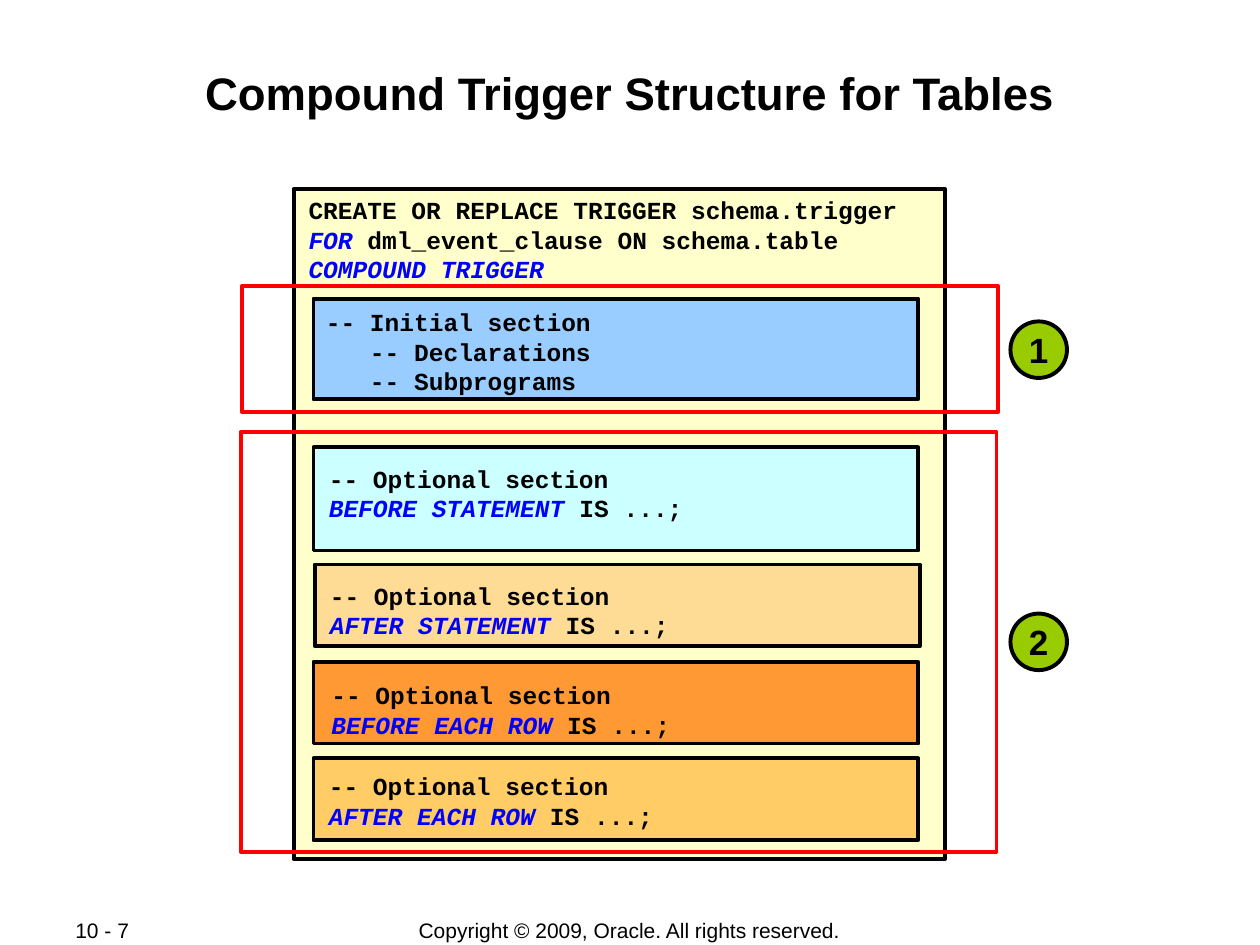
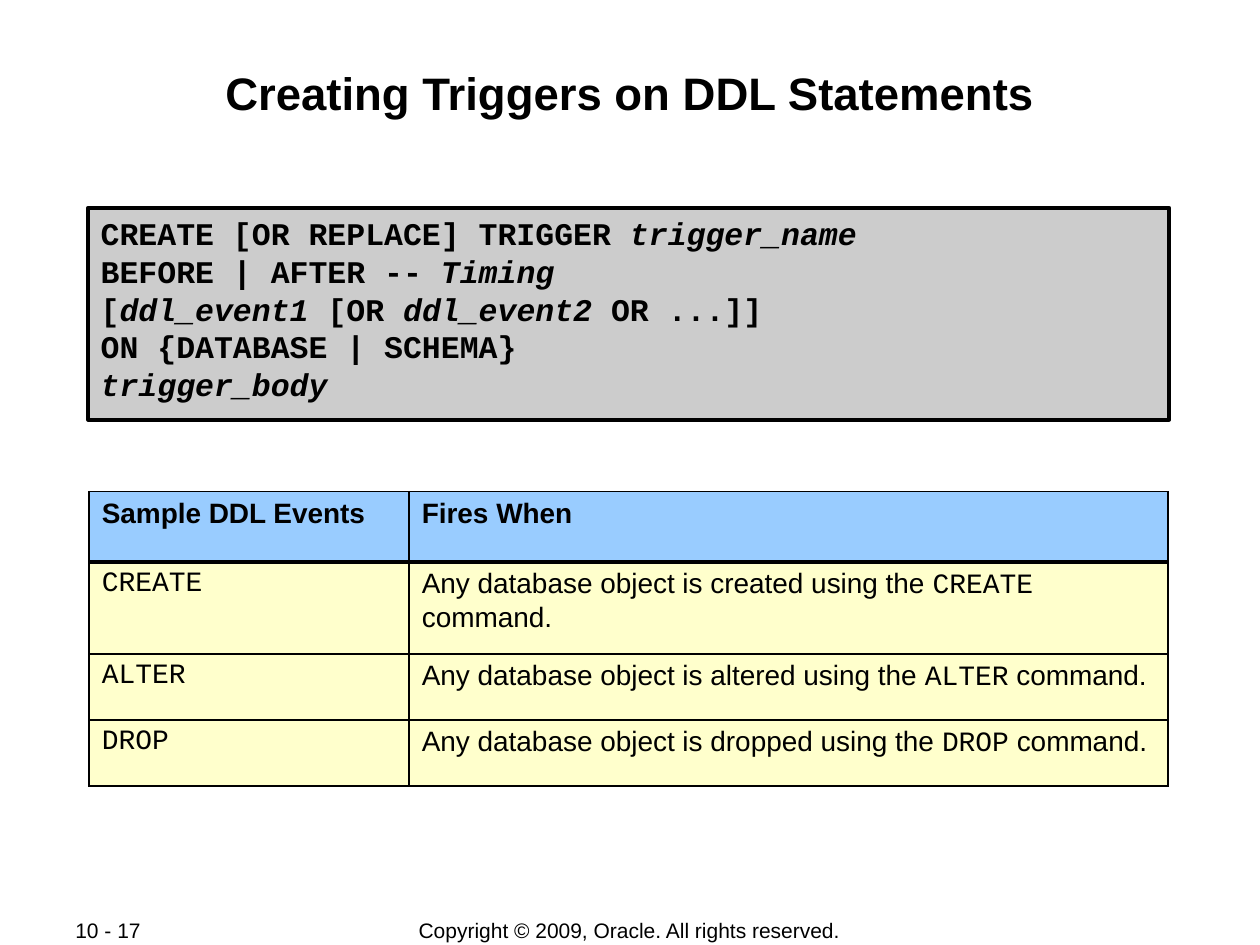
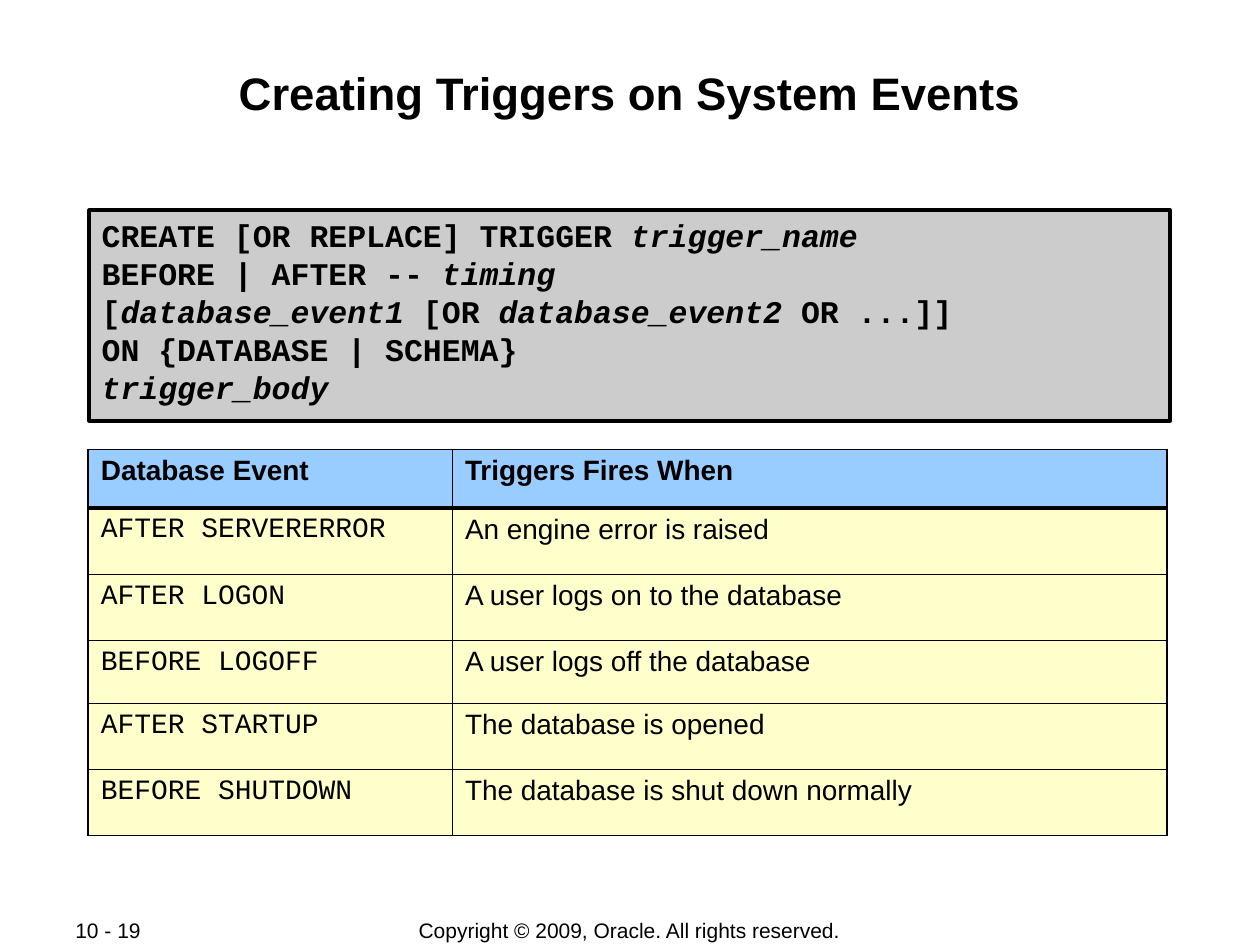
from pptx import Presentation
from pptx.dml.color import RGBColor
from pptx.enum.shapes import MSO_SHAPE as Preset
from pptx.enum.text import MSO_ANCHOR as Anchor, PP_ALIGN as Align
from pptx.oxml.ns import qn
from pptx.util import Cm, Pt
from lxml.etree import SubElement

BLACK = RGBColor(0x00, 0x00, 0x00)
BLUE = RGBColor(0x00, 0x00, 0xFF)
RED = RGBColor(0xFF, 0x00, 0x00)
GREEN = RGBColor(0x99, 0xCC, 0x00)
GREY = RGBColor(0xCC, 0xCC, 0xCC)
CREAM = RGBColor(0xFF, 0xFF, 0xCC)
SKY = RGBColor(0x99, 0xCC, 0xFF)
AQUA = RGBColor(0xCC, 0xFF, 0xFF)
PEACH = RGBColor(0xFF, 0xDC, 0x95)
ORANGE = RGBColor(0xFF, 0x99, 0x33)
AMBER = RGBColor(0xFF, 0xCC, 0x66)

SANS = {"name": "Arial"}
SANS_BOLD = {"name": "Arial", "bold": True}
MONO = {"name": "Courier New"}
CODE = {"name": "Courier New", "bold": True}
VARIABLE = {"name": "Courier New", "bold": True, "italic": True}
KEYWORD = {"name": "Courier New", "bold": True, "italic": True, "color": BLUE}


def write(frame, lines, size, align=Align.LEFT, anchor=Anchor.TOP):
    frame.word_wrap = True
    frame.vertical_anchor = anchor
    for number, line in enumerate(lines):
        para = frame.add_paragraph() if number else frame.paragraphs[0]
        para.alignment = align
        for text, style in line:
            span = para.add_run()
            span.text = text
            span.font.name = style["name"]
            span.font.size = Pt(size)
            span.font.bold = style.get("bold", False)
            span.font.italic = style.get("italic", False)
            span.font.color.rgb = style.get("color", BLACK)


def draw(page, preset, left, top, width, height, fill=None, line=BLACK):
    shape = page.shapes.add_shape(preset, Cm(left), Cm(top), Cm(width), Cm(height))
    shape.shadow.inherit = False
    if fill is None:
        shape.fill.background()
    else:
        shape.fill.solid()
        shape.fill.fore_color.rgb = fill
    shape.line.color.rgb = line
    shape.line.width = Pt(2.25)
    return shape


deck = Presentation()
deck.slide_width = Cm(25.4)
deck.slide_height = Cm(19.05)

pages = []
for title, number in [
    ("Compound Trigger Structure for Tables", "10 - 7"),
    ("Creating Triggers on DDL Statements", "10 - 17"),
    ("Creating Triggers on System Events", "10 - 19"),
]:
    page = deck.slides.add_slide(deck.slide_layouts[6])
    pages.append(page)
    for text, left, width, align in [
        ("Copyright © 2009, Oracle. All rights reserved.", 6.99, 11.4, Align.CENTER),
        (number, 1.27, 2.69, Align.LEFT),
    ]:
        box = page.shapes.add_textbox(Cm(left), Cm(18.49), Cm(width), Cm(0.53))
        write(box.text_frame, [[(text, SANS)]], 12, align, Anchor.MIDDLE)
    box = page.shapes.add_textbox(Cm(1.7), Cm(1.22), Cm(22), Cm(2.44))
    box.text_frame.margin_top = Cm(0.1)
    write(box.text_frame, [[(title, SANS_BOLD)]], 26, Align.CENTER)

structure, ddl, system = pages

draw(structure, Preset.RECTANGLE, 5.92, 3.81, 13.13, 13.51, CREAM)
box = structure.shapes.add_textbox(Cm(5.97), Cm(3.81), Cm(13.08), Cm(2.03))
write(box.text_frame, [
    [("CREATE OR REPLACE TRIGGER schema.trigger", CODE)],
    [("FOR ", KEYWORD), ("dml_event_clause ON schema.table", CODE)],
    [("COMPOUND TRIGGER", KEYWORD)],
], 14)

draw(structure, Preset.RECTANGLE, 6.32, 6.02, 12.19, 2.03, SKY)
box = structure.shapes.add_textbox(Cm(6.32), Cm(6.07), Cm(9.73), Cm(2.03))
write(box.text_frame, [
    [("-- Initial section", CODE)],
    [("   -- Declarations", CODE)],
    [("   -- Subprograms", CODE)],
], 14)

for timing, fill, left, top, height, text_left, text_top in [
    ("BEFORE STATEMENT", AQUA, 6.32, 9.02, 2.08, 6.38, 9.22),
    ("AFTER STATEMENT", PEACH, 6.35, 11.38, 1.65, 6.4, 11.58),
    ("BEFORE EACH ROW", ORANGE, 6.32, 13.34, 1.65, 6.43, 13.59),
    ("AFTER EACH ROW", AMBER, 6.32, 15.29, 1.65, 6.38, 15.42),
]:
    draw(structure, Preset.RECTANGLE, left, top, 12.19, height, fill)
    box = structure.shapes.add_textbox(Cm(text_left), Cm(text_top), Cm(8.56), Cm(1.45))
    write(box.text_frame, [
        [("-- Optional section", CODE)],
        [(timing, KEYWORD), (" IS ...;", CODE)],
    ], 14)

for label, left, top, height, badge_top in [
    ("1", 4.88, 5.77, 2.54, 6.48),
    ("2", 4.85, 8.71, 8.46, 12.37),
]:
    draw(structure, Preset.RECTANGLE, left, top, 15.24, height, line=RED)
    badge = draw(structure, Preset.OVAL, 20.37, badge_top, 1.14, 1.14, GREEN)
    frame = badge.text_frame
    frame.margin_left = frame.margin_right = Cm(0)
    frame.margin_top = frame.margin_bottom = Cm(0)
    write(frame, [[(label, SANS_BOLD)]], 20, Align.CENTER, Anchor.MIDDLE)

ddl_rows = [
    ([(event, MONO)], [
        (f"Any database object is {action} using the ", SANS),
        (event, MONO),
        (" command.", SANS),
    ])
    for event, action in [("CREATE", "created"), ("ALTER", "altered"), ("DROP", "dropped")]
]
system_rows = [
    ([(event, MONO)], [(moment, SANS)])
    for event, moment in [
        ("AFTER SERVERERROR", "An engine error is raised"),
        ("AFTER LOGON", "A user logs on to the database"),
        ("BEFORE LOGOFF", "A user logs off the database"),
        ("AFTER STARTUP", "The database is opened"),
        ("BEFORE SHUTDOWN", "The database is shut down normally"),
    ]
]

for page, code_place, timing, event, headings, rows, table_place, widths, heights in [
    (ddl, (1.78, 4.19, 21.79, 4.27), "Timing", "ddl_event",
     ("Sample DDL Events", "Fires When"), ddl_rows,
     (1.8, 9.91), (6.45, 15.29), (1.42, 1.86, 1.33, 1.33)),
    (system, (1.8, 4.24, 21.79, 4.24), "timing", "database_event",
     ("Database Event", "Triggers Fires When"), system_rows,
     (1.78, 9.06), (7.34, 14.4), (1.18, 1.34, 1.33, 1.27, 1.33, 1.33)),
]:
    panel = draw(page, Preset.RECTANGLE, *code_place, GREY)
    write(panel.text_frame, [
        [("CREATE [OR REPLACE] TRIGGER ", CODE), ("trigger_name", VARIABLE)],
        [("BEFORE | AFTER -- ", CODE), (timing, VARIABLE)],
        [("[", CODE), (f"{event}1", VARIABLE), (" [OR ", CODE),
         (f"{event}2", VARIABLE), (" OR ...]]", CODE)],
        [("ON {DATABASE | SCHEMA}", CODE)],
        [("trigger_body", VARIABLE)],
    ], 18)

    cells = [[[(heading, SANS_BOLD)] for heading in headings]] + rows
    left, top = table_place
    table = page.shapes.add_table(
        len(cells), 2, Cm(left), Cm(top), Cm(sum(widths)), Cm(sum(heights))
    ).table
    for column, width in zip(table.columns, widths):
        column.width = Cm(width)
    for row_index, (row, height) in enumerate(zip(cells, heights)):
        table.rows[row_index].height = Cm(height)
        for column_index, line in enumerate(row):
            cell = table.cell(row_index, column_index)
            write(cell.text_frame, [line], 16)
            properties = cell._tc.get_or_add_tcPr()
            for side in ("L", "R", "T", "B"):
                heavy = (row_index, side) in [(0, "B"), (1, "T")]
                border = SubElement(properties, qn(f"a:ln{side}"), w=str(Pt(2.21 if heavy else 1.08)))
                paint = SubElement(border, qn("a:solidFill"))
                SubElement(paint, qn("a:srgbClr"), val=str(BLACK))
            cell.fill.solid()
            cell.fill.fore_color.rgb = CREAM if row_index else SKY

deck.save("out.pptx")
